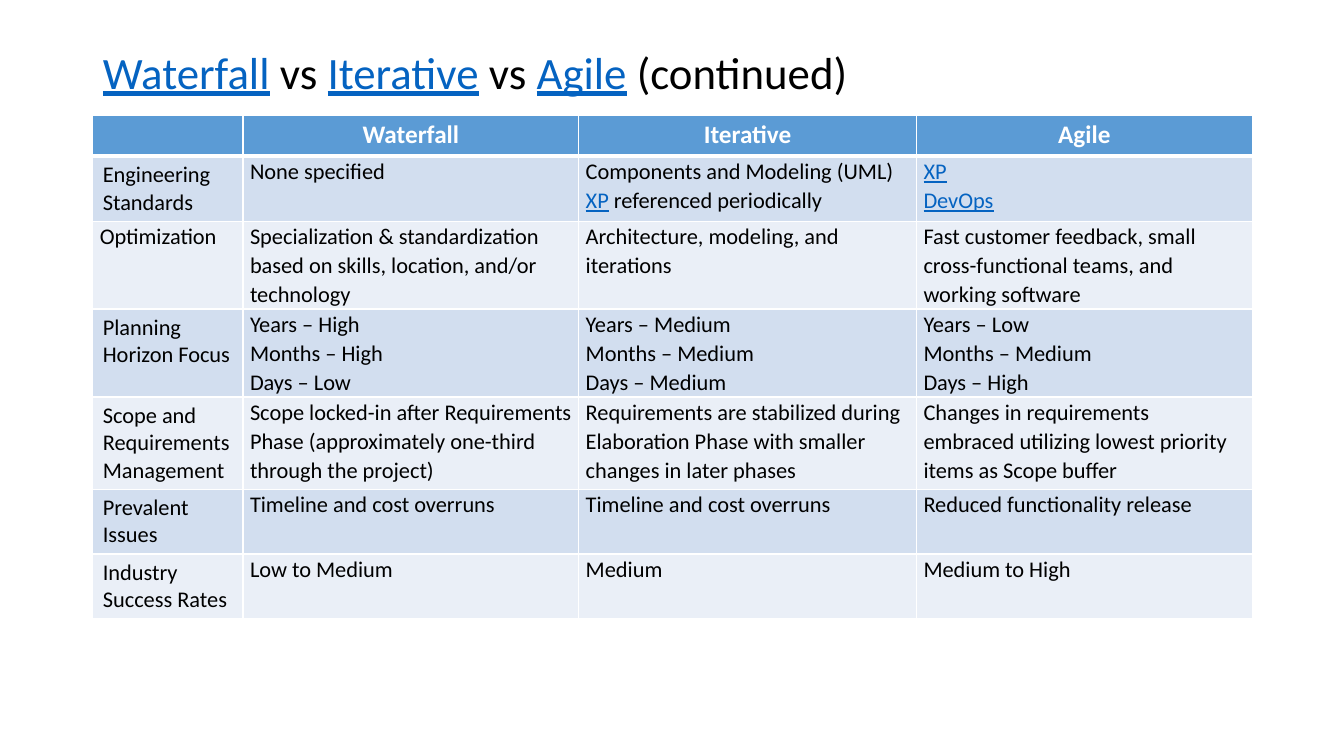
from pptx import Presentation
from pptx.dml.color import RGBColor
from pptx.enum.text import MSO_ANCHOR, MSO_AUTO_SIZE, PP_ALIGN
from pptx.oxml import parse_xml
from pptx.oxml.ns import nsdecls
from pptx.util import Inches, Pt

FONT = "Calibri"
COLORS = {
    "text": "000000", "link": "0563C1", "white": "FFFFFF",
    "header": "5B9BD5", "odd": "D2DEEF", "even": "EAEFF7",
}
LINK_WORDS = ("Waterfall", "Iterative", "Agile", "XP", "DevOps")

# Content: the title is a list of spans, a cell is a list of lines,
# and a line is a list of spans
TITLE = ["Waterfall", " vs ", "Iterative", " vs ", "Agile", " (continued)"]
HEADERS = ["", "Waterfall", "Iterative", "Agile"]
ROWS = [
    ("Engineering Standards",
     [["None specified"]],
     [["Components and Modeling (UML)"], ["XP", " referenced periodically"]],
     [["XP"], ["DevOps"]]),
    ("Optimization",
     [["Specialization & standardization based on skills, location, and/or technology"]],
     [["Architecture, modeling, and iterations"]],
     [["Fast customer feedback, small cross-functional teams, and working software"]]),
    ("Planning Horizon Focus",
     [["Years – High"], ["Months – High"], ["Days – Low"]],
     [["Years – Medium"], ["Months – Medium"], ["Days – Medium"]],
     [["Years – Low"], ["Months – Medium"], ["Days – High"]]),
    ("Scope and Requirements Management",
     [["Scope locked-in after Requirements Phase (approximately one-third through the project)"]],
     [["Requirements are stabilized during Elaboration Phase with smaller changes in later phases"]],
     [["Changes in requirements embraced utilizing lowest priority items as Scope buffer"]]),
    ("Prevalent Issues",
     [["Timeline and cost overruns"]],
     [["Timeline and cost overruns"]],
     [["Reduced functionality release"]]),
    ("Industry Success Rates",
     [["Low to Medium"]],
     [["Medium"]],
     [["Medium to High"]]),
]
TIGHT_LABELS = ("Optimization",)
COLUMN_WIDTHS = (1.49, 3.33, 3.35, 3.33)
ROW_HEIGHT = 0.41
LEFT, WIDTH = 0.92, 11.5


def color(name):
    return RGBColor.from_string(COLORS[name])


def add_spans(para, spans, size, ink="text", bold=False):
    for words in spans:
        linked = ink == "text" and words in LINK_WORDS
        span = para.add_run()
        span.text = words
        span.font.name, span.font.size, span.font.bold = FONT, Pt(size), bold
        span.font.underline = linked
        span.font.color.rgb = color("link" if linked else ink)


def style_cell(cell, fill, top=1, bottom=1):
    properties = cell._tc.get_or_add_tcPr()
    for side, points in (("L", 1), ("R", 1), ("T", top), ("B", bottom)):
        properties.append(parse_xml(
            f'<a:ln{side} {nsdecls("a")} w="{Pt(points)}"><a:solidFill>'
            f'<a:srgbClr val="{COLORS["white"]}"/></a:solidFill></a:ln{side}>'))
    cell.fill.solid()
    cell.fill.fore_color.rgb = color(fill)


def fill_cell(cell, lines, tight):
    if tight:
        cell.margin_left = cell.margin_right = Inches(0.07)
        cell.margin_top = cell.margin_bottom = 0
    for index, spans in enumerate(lines):
        frame = cell.text_frame
        para = frame.add_paragraph() if index else frame.paragraphs[0]
        if tight:
            para.line_spacing = 1.07
        add_spans(para, spans, 16)


def add_title(page):
    title = page.shapes.title
    title.left, title.top = Inches(LEFT), Inches(0.36)
    title.width, title.height = Inches(WIDTH), Inches(0.76)
    frame = title.text_frame
    frame.word_wrap = True
    frame.auto_size = MSO_AUTO_SIZE.NONE
    frame.vertical_anchor = MSO_ANCHOR.MIDDLE
    para = frame.paragraphs[0]
    para.alignment = PP_ALIGN.LEFT
    para.line_spacing = 0.9
    add_spans(para, TITLE, 32)


def add_comparison(page):
    row_count = len(ROWS) + 1
    table = page.shapes.add_table(
        row_count, len(HEADERS), Inches(LEFT), Inches(1.14),
        Inches(WIDTH), Inches(ROW_HEIGHT * row_count)).table
    for column, width in zip(table.columns, COLUMN_WIDTHS):
        column.width = Inches(width)
    for row in table.rows:
        row.height = Inches(ROW_HEIGHT)

    # Header row
    for column, heading in enumerate(HEADERS):
        cell = table.cell(0, column)
        style_cell(cell, "header", bottom=3)
        if heading:
            para = cell.text_frame.paragraphs[0]
            para.alignment = PP_ALIGN.CENTER
            add_spans(para, [heading], 18, "white", True)

    # Banded body rows
    for number, (label, *entries) in enumerate(ROWS, start=1):
        for column, lines in enumerate([[[label]], *entries]):
            cell = table.cell(number, column)
            style_cell(cell, "odd" if number % 2 else "even",
                       top=3 if number == 1 else 1)
            fill_cell(cell, lines, column > 0 or label in TIGHT_LABELS)


def main():
    deck = Presentation()
    deck.slide_width, deck.slide_height = Inches(13.33), Inches(7.5)
    page = deck.slides.add_slide(deck.slide_layouts[5])
    page.background.fill.solid()
    page.background.fill.fore_color.rgb = color("white")
    add_title(page)
    add_comparison(page)
    deck.save("out.pptx")


if __name__ == "__main__":
    main()
